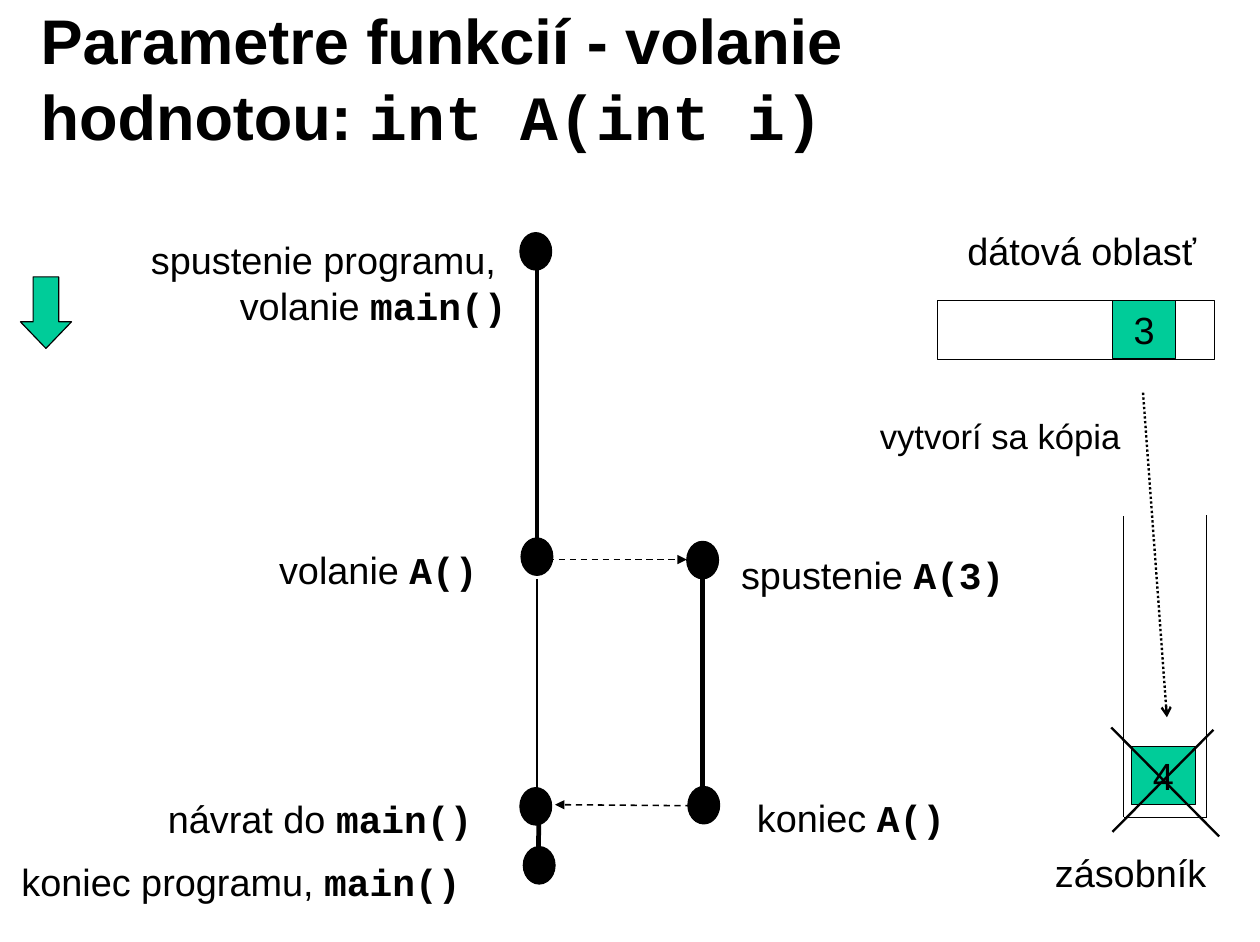
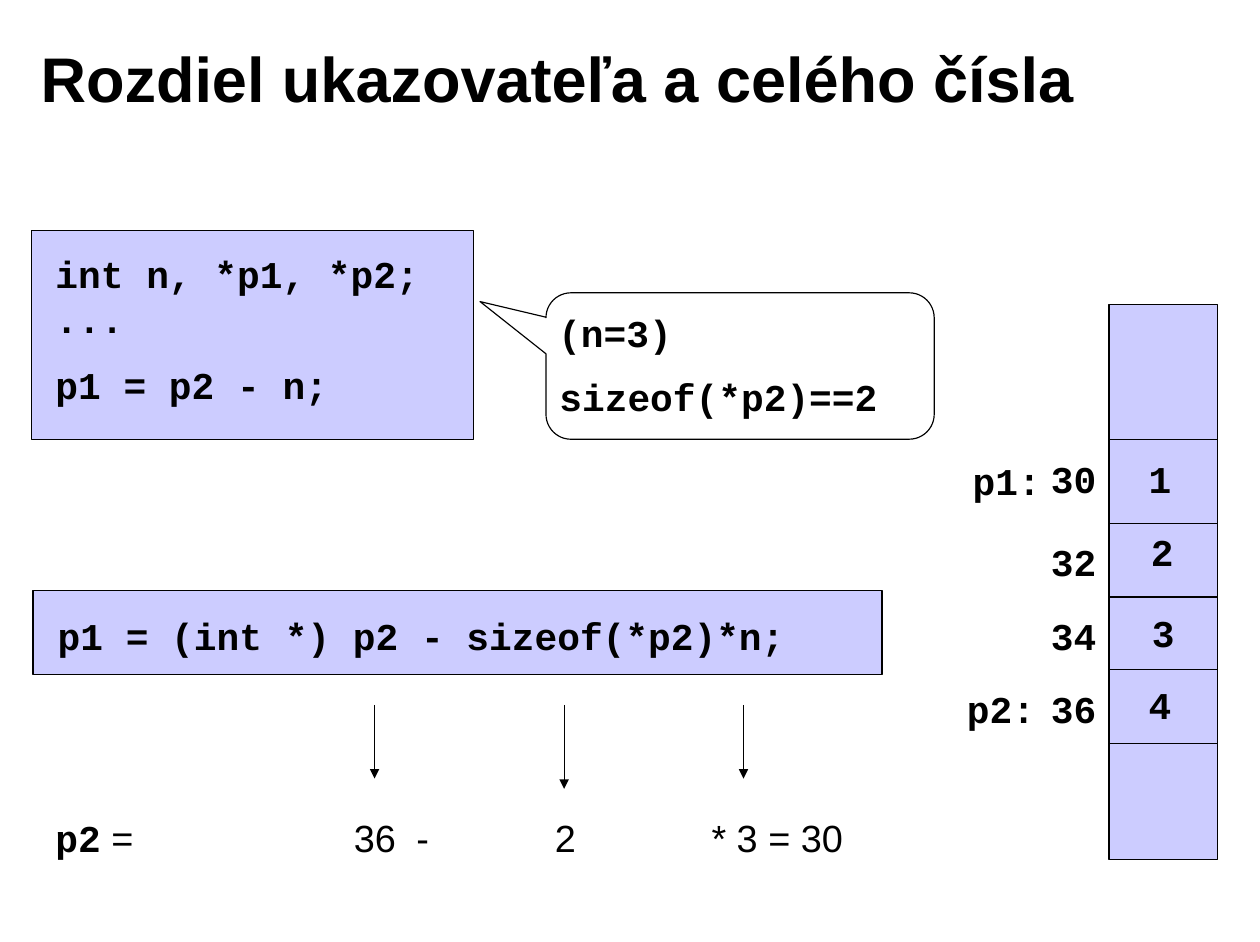
from dataclasses import dataclass

from lxml import etree
from pptx import Presentation
from pptx.dml.color import RGBColor
from pptx.enum.dml import MSO_LINE
from pptx.enum.shapes import MSO_CONNECTOR, MSO_SHAPE
from pptx.enum.text import MSO_ANCHOR, PP_ALIGN
from pptx.oxml.ns import qn
from pptx.util import Emu, Pt

PX = 9144
BLACK = RGBColor(0, 0, 0)
WHITE = RGBColor(255, 255, 255)
GREEN = RGBColor(0, 204, 153)
LILAC = RGBColor(204, 204, 255)
SANS, MONO = "Arial", "Courier New"
LEFT, CENTER, RIGHT = PP_ALIGN.LEFT, PP_ALIGN.CENTER, PP_ALIGN.RIGHT
TOP, MIDDLE = MSO_ANCHOR.TOP, MSO_ANCHOR.MIDDLE
DASH, DOT = MSO_LINE.DASH, MSO_LINE.ROUND_DOT
STRAIGHT = MSO_CONNECTOR.STRAIGHT
RECTANGLE, ELLIPSE = MSO_SHAPE.RECTANGLE, MSO_SHAPE.OVAL
DOWN_ARROW, CALLOUT = MSO_SHAPE.DOWN_ARROW, MSO_SHAPE.ROUNDED_RECTANGULAR_CALLOUT


@dataclass(frozen=True)
class Span:
    text: str
    mono: bool = False
    bold: bool = False


def plain(text: str) -> Span:
    return Span(text)


def code(text: str) -> Span:
    return Span(text, mono=True, bold=True)


@dataclass(frozen=True)
class Label:
    left: int
    top: int
    width: int
    lines: tuple
    align: int = LEFT
    size: int = 24
    height: int = 50
    anchor: int = TOP
    space_before: tuple = ()
    tabs: tuple = ()


@dataclass(frozen=True)
class Line:
    x1: int
    y1: int
    x2: int
    y2: int
    weight: float = 0.75
    dash: int | None = None
    arrow: str | None = None


@dataclass(frozen=True)
class Cell:
    value: str
    address: str
    value_left: int
    value_top: int
    address_top: int


def px(*lengths: int) -> list:
    return [Emu(length * PX) for length in lengths]


def fill_text(frame, label: Label) -> None:
    frame.word_wrap = True
    frame.vertical_anchor = label.anchor
    frame.margin_left, frame.margin_top, frame.margin_right, frame.margin_bottom = px(10, 5, 10, 5)
    for index, spans in enumerate(label.lines):
        para = frame.paragraphs[0] if index == 0 else frame.add_paragraph()
        para.alignment = label.align
        if index < len(label.space_before) and label.space_before[index]:
            para.space_before = Pt(label.space_before[index])
        if label.tabs:
            stops = etree.SubElement(para._p.get_or_add_pPr(), qn("a:tabLst"))
            for position in label.tabs:
                etree.SubElement(stops, qn("a:tab"), pos=str(position * PX), algn="l")
        for span in spans:
            run = para.add_run()
            run.text = span.text
            run.font.name = MONO if span.mono else SANS
            run.font.size = Pt(label.size)
            run.font.bold = span.bold
            run.font.color.rgb = BLACK


def add_label(page, label: Label) -> None:
    box = page.shapes.add_textbox(*px(label.left, label.top, label.width, label.height))
    fill_text(box.text_frame, label)


def add_title(page, *spans: Span) -> None:
    add_label(page, Label(26, 17, 952, (spans,), size=40, height=102, anchor=MIDDLE))


def add_figure(page, kind: int, left: int, top: int, width: int, height: int,
               color: RGBColor, adjustments: tuple = ()):
    figure = page.shapes.add_shape(kind, *px(left, top, width, height))
    figure.shadow.inherit = False
    figure.fill.solid()
    figure.fill.fore_color.rgb = color
    figure.line.color.rgb = BLACK
    figure.line.width = Pt(0.75)
    for index, value in enumerate(adjustments):
        figure.adjustments[index] = value
    return figure


def add_value_box(page, left: int, top: int, text: str) -> None:
    box = add_figure(page, RECTANGLE, left, top, 56, 51, GREEN)
    fill_text(box.text_frame, Label(left, top, 56, ((plain(text),),), CENTER, anchor=MIDDLE))


def add_line(page, line: Line) -> None:
    connector = page.shapes.add_connector(STRAIGHT, *px(line.x1, line.y1, line.x2, line.y2))
    connector.line.color.rgb = BLACK
    connector.line.width = Pt(line.weight)
    if line.dash is not None:
        connector.line.dash_style = line.dash
    if line.arrow:
        etree.SubElement(connector.line._get_or_add_ln(), qn("a:tailEnd"), type=line.arrow)
    etree.SubElement(connector._element.spPr, qn("a:effectLst"))


def build_call_page(page) -> None:
    add_title(page, Span("Parametre funkcií - volanie hodnotou: ", bold=True), code("int A(int i)"))
    for line in (
        Line(619, 508, 619, 726, 3),
        Line(473, 510, 473, 726, 1),
        Line(473, 493, 605, 493, 1, DASH, "triangle"),
        Line(619, 710, 489, 709, 1, DASH, "triangle"),
        Line(475, 713, 474, 761, 3),
        Line(473, 223, 473, 494, 3),
    ):
        add_line(page, line)
    for left, top in ((458, 205), (459, 474), (605, 477), (461, 746), (458, 694), (606, 693)):
        add_figure(page, ELLIPSE, left, top, 28, 33, BLACK)
    add_figure(page, DOWN_ARROW, 18, 244, 45, 63, GREEN, (0.5, 0.52))
    for label in (
        Label(103, 204, 353, ((plain("spustenie programu, "),),
                              (plain("volanie "), code("main()"))), RIGHT, height=90),
        Label(236, 477, 215, ((plain("volanie "), code("A()")),)),
        Label(643, 481, 272, ((plain("spustenie "), code("A(3)")),)),
        Label(138, 696, 308, ((plain("návrat do "), code("main()")),)),
        Label(9, 752, 427, ((plain("koniec programu, "), code("main()")),)),
        Label(657, 695, 205, ((plain("koniec "), code("A()")),)),
        Label(908, 744, 176, ((plain("zásobník"),),), CENTER),
        Label(831, 196, 244, ((plain("dátová oblasť"),),), CENTER),
        Label(755, 361, 252, ((plain("vytvorí sa kópia"),),), CENTER, 22),
    ):
        add_label(page, label)
    add_figure(page, RECTANGLE, 826, 265, 244, 52, WHITE)
    add_value_box(page, 980, 265, "3")
    add_value_box(page, 997, 658, "4")
    for line in (
        Line(1063, 454, 1063, 720),
        Line(990, 455, 990, 720),
        Line(1063, 720, 990, 720),
        Line(979, 641, 1074, 737, 1.5),
        Line(980, 733, 1069, 643, 1.5),
        Line(1007, 346, 1028, 632, 1.5, DOT, "arrow"),
    ):
        add_line(page, line)


def build_pointer_page(page) -> None:
    add_title(page, Span("Rozdiel ukazovateľa a celého čísla", bold=True))
    add_figure(page, RECTANGLE, 28, 203, 389, 184, LILAC)
    add_figure(page, RECTANGLE, 29, 520, 748, 74, LILAC)
    add_figure(page, CALLOUT, 481, 258, 342, 129, WHITE, (-0.67, -0.44, 0.17))
    for label in (
        Label(39, 216, 370, ((code("int n, *p1, *p2;"),), (code("..."),), (code("p1 = p2 - n;"),)),
              height=152, space_before=(0, 0, 13)),
        Label(41, 535, 700, ((code("p1 = (int *) p2 - sizeof(*p2)*n;"),),)),
        Label(39, 713, 736, ((code("p2"), plain(" =\t36\t-\t2\t* 3 = 30")),),
              tabs=(263, 318, 440, 578)),
        Label(482, 268, 140, ((code("(n=3)"),),)),
        Label(483, 324, 330, ((code("sizeof(*p2)==2"),),)),
        Label(847, 398, 102, ((code("p1:"),),)),
        Label(842, 599, 102, ((code("p2:"),),)),
    ):
        add_label(page, label)
    for x, bottom in ((330, 686), (497, 695), (655, 686)):
        add_line(page, Line(x, 621, x, bottom, arrow="triangle"))
    add_figure(page, RECTANGLE, 977, 268, 96, 489, LILAC)
    for y in (387, 461, 526, 590, 655):
        add_line(page, Line(977, y, 1073, y))
    for cell in (
        Cell("1", "30", 1002, 397, 397),
        Cell("2", "32", 1004, 461, 470),
        Cell("3", "34", 1005, 532, 535),
        Cell("4", "36", 1002, 596, 599),
    ):
        add_label(page, Label(cell.value_left, cell.value_top, 50, ((code(cell.value),),)))
        add_label(page, Label(916, cell.address_top, 83, ((code(cell.address),),)))


def main() -> None:
    deck = Presentation()
    deck.slide_width, deck.slide_height = px(1110, 830)
    for build in (build_call_page, build_pointer_page):
        build(deck.slides.add_slide(deck.slide_layouts[6]))
    deck.save("out.pptx")


if __name__ == "__main__":
    main()
